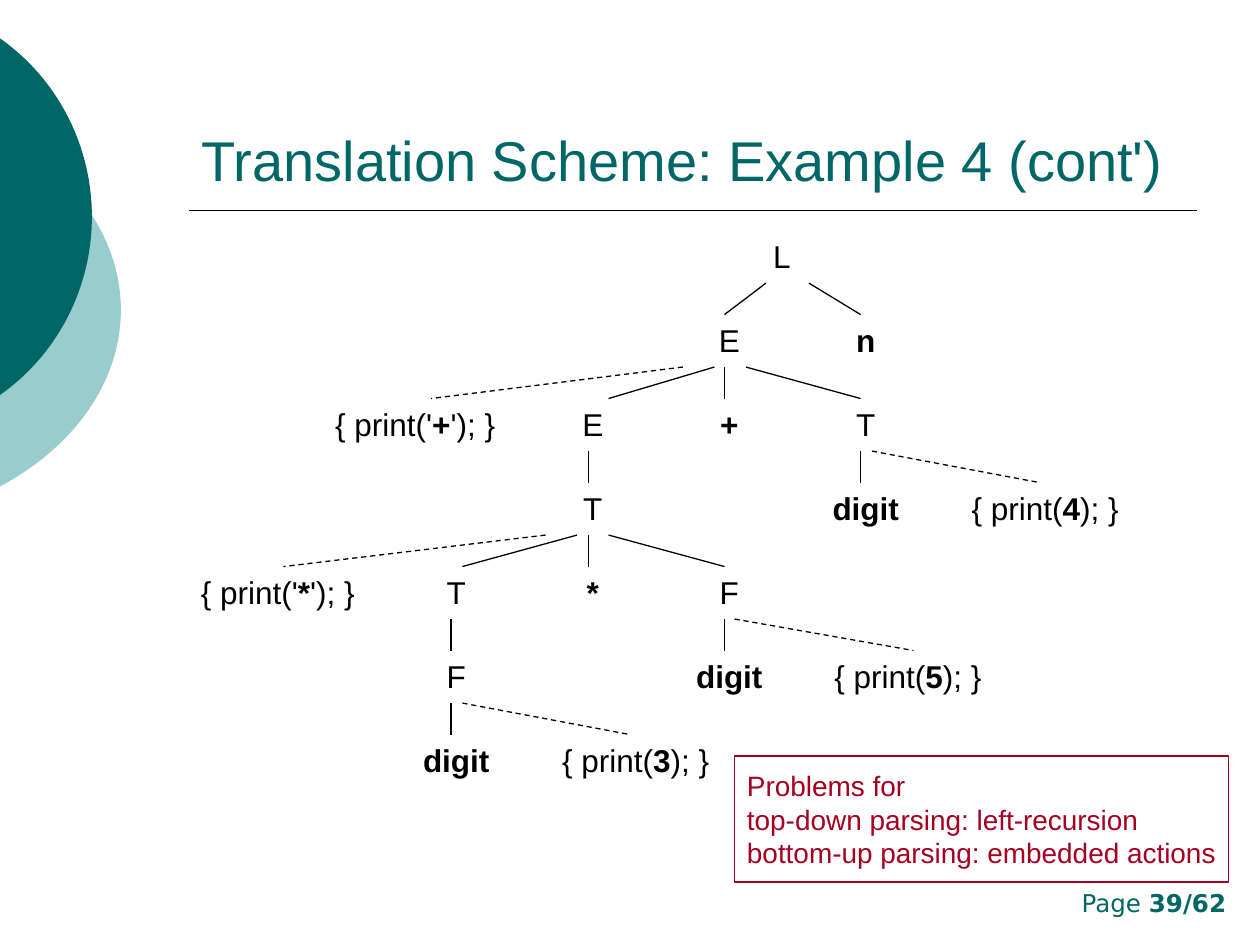
from dataclasses import dataclass
from math import acos, cos, sin

from lxml.etree import SubElement
from pptx import Presentation
from pptx.dml.color import RGBColor
from pptx.enum.dml import MSO_LINE
from pptx.enum.shapes import MSO_CONNECTOR, MSO_SHAPE
from pptx.enum.text import MSO_ANCHOR, PP_ALIGN
from pptx.oxml.ns import qn
from pptx.slide import Slide
from pptx.text.text import _Paragraph as Paragraph
from pptx.util import Inches, Pt

TEAL = RGBColor(0x00, 0x66, 0x66)
PALE_TEAL = RGBColor(0x99, 0xCC, 0xCC)
BLACK = RGBColor(0x00, 0x00, 0x00)
CRIMSON = RGBColor(0xA5, 0x00, 0x21)

TREE_TOP = 1.83
ROW_PITCH = 2 / 3
ROW_GAP = 0.25
COLUMN_LEFT = 3.08
COLUMN_WIDTH = 13 / 12
ACTION_WIDTH = 1.75
NODE_HEIGHT = 0.4
ARC_STEPS = 60


@dataclass(frozen=True)
class Disc:
    center_x: float
    center_y: float
    radius_x: float
    radius_y: float
    color: RGBColor


@dataclass(frozen=True)
class Symbol:
    text: str
    column: int
    row: int
    bold: bool = False


@dataclass(frozen=True)
class Action:
    argument: str
    left: float
    row: int
    quote: str = ""


@dataclass(frozen=True)
class Branch:
    start_x: float
    end_x: float
    row: int
    dashed: bool = False


DISCS = [
    Disc(-1.29, 2.46, 2.25, 1.71, PALE_TEAL),
    Disc(-0.96, 1.72, 1.69, 1.72, TEAL),
]
SYMBOLS = [
    Symbol("E", 2, 1),
    Symbol("n", 3, 1, True),
    Symbol("E", 1, 2),
    Symbol("+", 2, 2, True),
    Symbol("T", 3, 2),
    Symbol("T", 1, 3),
    Symbol("digit", 3, 3, True),
    Symbol("T", 0, 4),
    Symbol("*", 1, 4, True),
    Symbol("F", 2, 4),
    Symbol("F", 0, 5),
    Symbol("digit", 2, 5, True),
    Symbol("digit", 0, 6, True),
]
ACTIONS = [
    Action("+", 2.42, 2, "'"),
    Action("4", 7.42, 3),
    Action("*", 1.33, 4, "'"),
    Action("5", 6.33, 5),
    Action("3", 4.17, 6),
]
BRANCHES = [
    Branch(6.08, 5.75, 0),
    Branch(6.42, 6.83, 0),
    Branch(5.42, 3.42, 1, True),
    Branch(5.67, 4.83, 1),
    Branch(5.75, 5.75, 1),
    Branch(5.92, 6.83, 1),
    Branch(4.67, 4.67, 2),
    Branch(6.83, 6.83, 2),
    Branch(6.92, 8.25, 2, True),
    Branch(4.33, 2.25, 3, True),
    Branch(4.58, 3.67, 3),
    Branch(4.67, 4.67, 3),
    Branch(4.83, 5.75, 3),
    Branch(3.58, 3.58, 4),
    Branch(5.75, 5.75, 4),
    Branch(5.83, 7.25, 4, True),
    Branch(3.58, 3.58, 5),
    Branch(3.67, 5.0, 5, True),
]
PROBLEMS = [
    "Problems for",
    "top-down parsing: left-recursion",
    "bottom-up parsing: embedded actions",
]


def row_top(row: int) -> float:
    return TREE_TOP + row * ROW_PITCH


def add_run(paragraph: Paragraph, text: str, size: float, color: RGBColor,
            bold: bool = False, font_name: str = "Arial") -> None:
    run = paragraph.add_run()
    run.text = text
    run.font.name = font_name
    run.font.size = Pt(size)
    run.font.bold = bold
    run.font.color.rgb = color


def add_text_box(slide: Slide, left: float, top: float, width: float,
                 height: float, alignment: PP_ALIGN) -> Paragraph:
    box = slide.shapes.add_textbox(Inches(left), Inches(top), Inches(width), Inches(height))
    box.text_frame.word_wrap = True
    paragraph = box.text_frame.paragraphs[0]
    paragraph.alignment = alignment
    return paragraph


def add_line(slide: Slide, start: tuple[float, float], end: tuple[float, float],
             width: float, dashed: bool = False) -> None:
    line = slide.shapes.add_connector(
        MSO_CONNECTOR.STRAIGHT, *map(Inches, start), *map(Inches, end))
    line.line.color.rgb = BLACK
    line.line.width = Pt(width)
    if dashed:
        line.line.dash_style = MSO_LINE.DASH
    SubElement(line._element.spPr, qn("a:effectLst"))


def add_disc(slide: Slide, disc: Disc) -> None:
    limit = acos(-disc.center_x / disc.radius_x)
    angles = [limit * (2 * step / ARC_STEPS - 1) for step in range(ARC_STEPS + 1)]
    points = [
        (Inches(max(0, disc.center_x + disc.radius_x * cos(angle))),
         Inches(disc.center_y + disc.radius_y * sin(angle)))
        for angle in angles
    ]
    builder = slide.shapes.build_freeform(*points[0])
    builder.add_line_segments(points[1:], close=True)
    shape = builder.convert_to_shape()
    shape.shadow.inherit = False
    shape.fill.solid()
    shape.fill.fore_color.rgb = disc.color
    shape.line.fill.background()


def add_title(slide: Slide) -> None:
    title = slide.shapes.title
    title.left, title.top = Inches(1.5), Inches(0.33)
    title.width, title.height = Inches(8), Inches(1.25)
    title.text_frame.vertical_anchor = MSO_ANCHOR.BOTTOM
    paragraph = title.text_frame.paragraphs[0]
    paragraph.alignment = PP_ALIGN.LEFT
    add_run(paragraph, "Translation Scheme: Example 4 (cont')", 32, TEAL)


def add_tree(slide: Slide) -> None:
    root = add_text_box(slide, 5.58, TREE_TOP, 1.25, NODE_HEIGHT, PP_ALIGN.CENTER)
    add_run(root, "L", 18, BLACK)
    for symbol in SYMBOLS:
        left = COLUMN_LEFT + symbol.column * COLUMN_WIDTH
        paragraph = add_text_box(slide, left, row_top(symbol.row), COLUMN_WIDTH,
                                 NODE_HEIGHT, PP_ALIGN.CENTER)
        add_run(paragraph, symbol.text, 18, BLACK, symbol.bold)
    for action in ACTIONS:
        paragraph = add_text_box(slide, action.left, row_top(action.row), ACTION_WIDTH,
                                 NODE_HEIGHT, PP_ALIGN.CENTER)
        add_run(paragraph, "{ print(" + action.quote, 18, BLACK)
        add_run(paragraph, action.argument, 18, BLACK, True)
        add_run(paragraph, action.quote + "); }", 18, BLACK)
    for branch in BRANCHES:
        end_y = row_top(branch.row + 1)
        add_line(slide, (branch.start_x, end_y - ROW_GAP), (branch.end_x, end_y),
                 0.75, branch.dashed)


def add_problem_box(slide: Slide) -> None:
    box = slide.shapes.add_shape(
        MSO_SHAPE.RECTANGLE, Inches(5.83), Inches(6), Inches(3.92), Inches(1))
    box.shadow.inherit = False
    box.fill.background()
    box.line.color.rgb = CRIMSON
    box.line.width = Pt(0.75)
    frame = box.text_frame
    frame.word_wrap = False
    frame.vertical_anchor = MSO_ANCHOR.MIDDLE
    for index, text in enumerate(PROBLEMS):
        paragraph = frame.add_paragraph() if index else frame.paragraphs[0]
        paragraph.alignment = PP_ALIGN.LEFT
        add_run(paragraph, text, 16, CRIMSON)


def main() -> None:
    presentation = Presentation()
    presentation.slide_width, presentation.slide_height = Inches(10), Inches(7.5)
    slide = presentation.slides.add_slide(presentation.slide_layouts[5])
    for disc in DISCS:
        add_disc(slide, disc)
    add_line(slide, (1.5, 1.67), (9.5, 1.67), 1)
    add_title(slide)
    add_tree(slide)
    add_problem_box(slide)
    page = add_text_box(slide, 7.58, 7, 2.25, 0.33, PP_ALIGN.RIGHT)
    add_run(page, "Page ", 14, TEAL, font_name="DejaVu Sans")
    add_run(page, "39/62", 14, TEAL, True, "DejaVu Sans")
    presentation.save("out.pptx")


if __name__ == "__main__":
    main()
